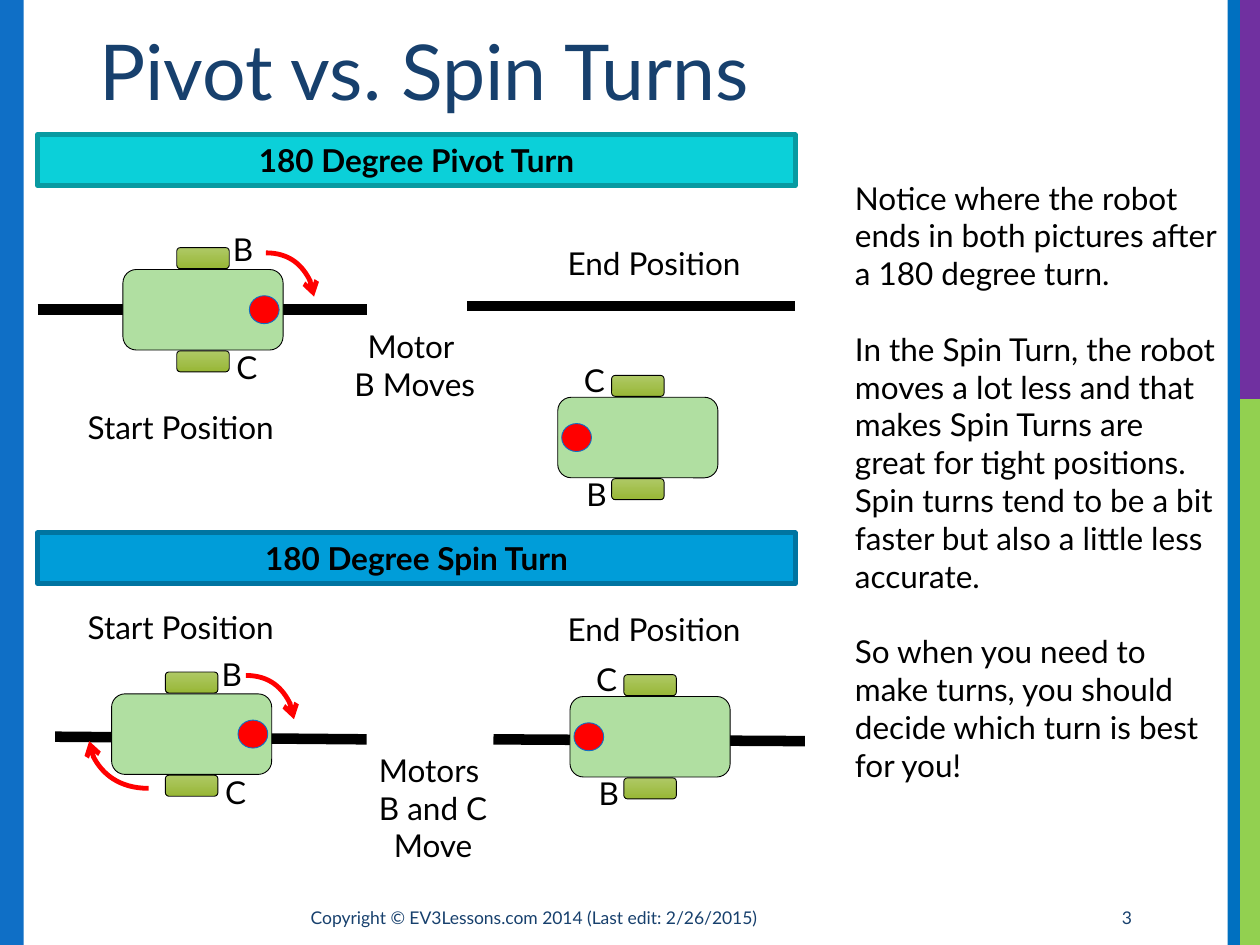
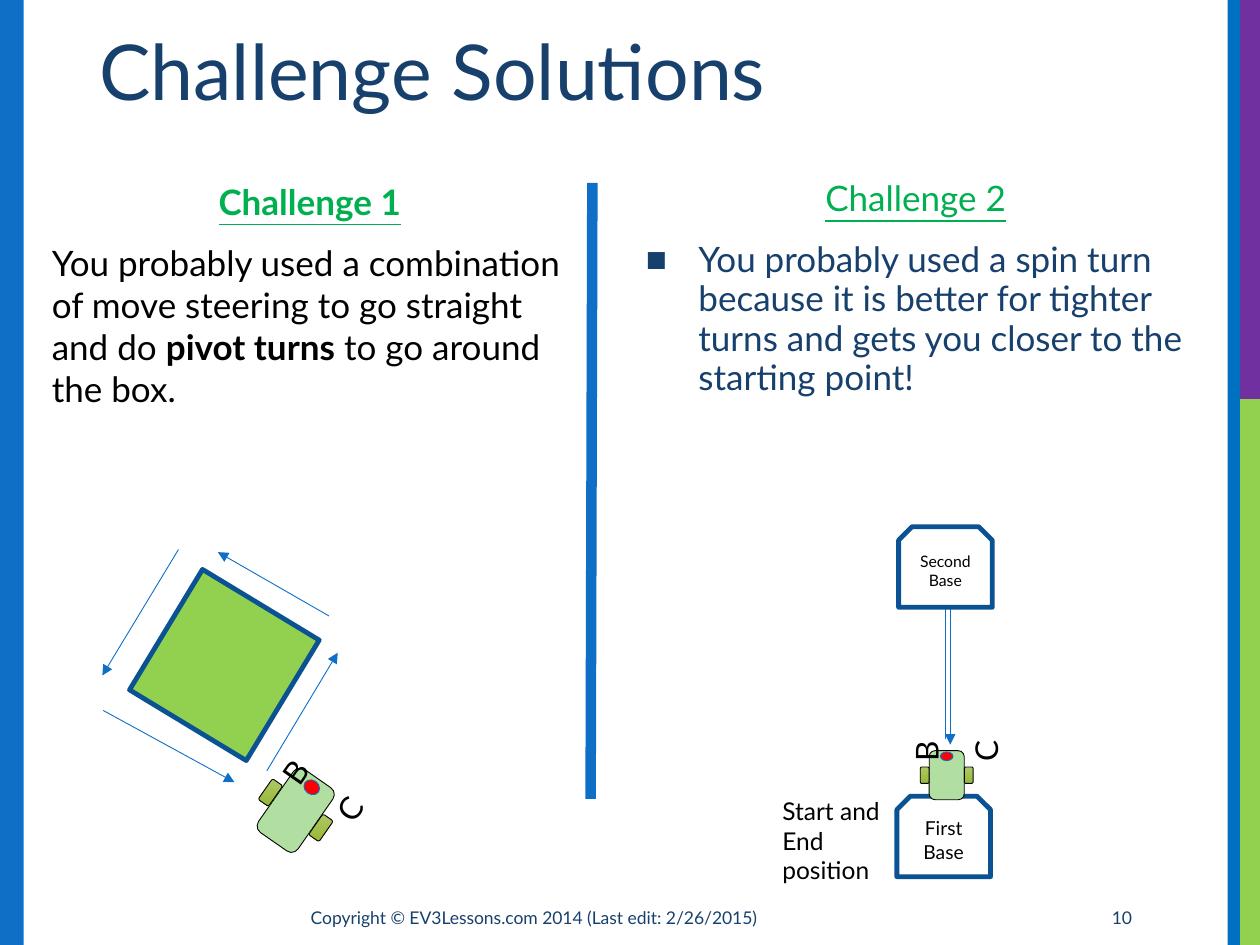
"""Build two slides on robot pivot and spin turns."""
from math import cos, radians, sin

from lxml import etree
from pptx import Presentation
from pptx.dml.color import RGBColor
from pptx.enum import shapes, text
from pptx.oxml import ns
from pptx.util import Pt

FONT, NAVY, BLUE, BLACK, RED = "Lato", "17406D", "0F6FC6", "000000", "FF0000"
GREEN, LIME, EDGE = "00B050", "92D050", "0B5292"
BANDS = [
    ((0, 0, 13.5, 540), BLUE),
    ((708.5, 228, 11.5, 312), LIME),
    ((705.5, 0, 14.5, 228), "7030A0"),
    ((701.5, 0, 7, 540), "0070C0"),
]
FOOTER = "Copyright © EV3Lessons.com 2014 (Last edit: 2/26/2015)"

HEADINGS = [
    ("180 Degree Pivot Turn", 77, "0BD0D9", "089AA1"),
    ("180 Degree Spin Turn", 304.5, "009DD9", "0074A1"),
]
NOTES = [
    "Notice where the robot ends in both pictures after a 180 degree turn.",
    "In the Spin Turn, the robot moves a lot less and that makes Spin Turns are great for "
    "tight positions. Spin turns tend to be a bit faster but also a little less accurate.",
    "So when you need to make turns, you should decide which turn is best for you!",
]
TRACKS = [
    ((282, 422.5), (460, 423.5)),
    ((31.5, 421), (209.5, 422.5)),
    ((21.5, 177), (209.5, 177)),
    ((267, 175), (454.5, 175)),
]
CAPTIONS = [
    (["Start Position"], (36, 229.5, 134.5, 29)),
    (["End Position"], (306.5, 136, 134.5, 29)),
    (["Start Position"], (36, 344, 134.5, 29)),
    (["End Position"], (306.5, 345, 134.5, 29)),
    (["Motor ", "B Moves"], (184.5, 183.5, 105, 51)),
    (["Motors ", "B and C Move"], (195, 425.5, 105, 73)),
]
TURN_ROBOTS = [((116, 177), 90), ((364.5, 250), 270), ((109.5, 419.5), 90), ((371.5, 421), 270)]
LETTER_OFFSETS = {90: ((10, -49), (12, 18.5)), 270: ((-36.5, 18), (-38, -47.5))}
MOTIONS = [
    ((152, 144.5), (179.5, 169.5)),
    ((140.5, 386), (168, 411)),
    ((85, 450.5), (51, 423.5)),
]

BIG = dict(body=(46, 91.5), wheel=(12, 30), track=29.5, sensor=(16, 17), ahead=35, letter=(37, 23))
MEDIUM = dict(body=(27.5, 44), wheel=(7.2, 14.4), track=17.6, sensor=(9.4, 8), ahead=16,
              letter=(18, 13.5))
SMALL = dict(body=(20, 28), wheel=(5, 9.4), track=12.6, sensor=(7.2, 5), ahead=10.8,
             letter=(11.5, 10))

BOX_PATH = [
    ((102, 314), (58.5, 386)),
    ((188, 352), (124.5, 315.5)),
    ((152.5, 440.5), (193, 373)),
    ((59, 406), (134, 447)),
]
BASE_PATH = [((540, 422.5), (540, 339)), ((543, 347), (543, 425.5))]
BASES = [("First Base", (512.5, 455), 11), ("Second Base", (513.5, 301), 9)]


def rgb(code):
    return RGBColor.from_string(code)


def write(sp, paras, size=18, color=BLACK, align="LEFT", anchor="TOP", bold=False,
          underline=False, before=0, after=0, spacing=None, grow=False):
    """Fill a shape with paragraphs, each a string or a list of (text, format) runs."""
    tf = sp.text_frame
    tf.word_wrap = True
    tf.auto_size = text.MSO_AUTO_SIZE.SHAPE_TO_FIT_TEXT if grow else text.MSO_AUTO_SIZE.NONE
    tf.vertical_anchor = getattr(text.MSO_ANCHOR, anchor)
    for i, runs in enumerate(paras):
        p = tf.add_paragraph() if i else tf.paragraphs[0]
        p.alignment = getattr(text.PP_ALIGN, align)
        p.space_before, p.space_after = Pt(before if i else 0), Pt(after)
        if spacing:
            p.line_spacing = spacing
        for words, own in [(runs, {})] if isinstance(runs, str) else runs:
            r = p.add_run()
            r.text = words
            r.font.name, r.font.size = FONT, Pt(size)
            r.font.bold = own.get("bold", bold)
            r.font.underline = own.get("underline", underline)
            r.font.color.rgb = rgb(own.get("color", color))
    return tf


def add_text(s, box, paras, rotation=0, **fmt):
    sp = s.shapes.add_textbox(*map(Pt, box))
    sp.rotation = rotation
    return write(sp, paras, **fmt)


def add_box(s, kind, box, fill, line=None, width=0.5, rotation=0):
    """Add a preset shape; a pair of fills makes a vertical gradient."""
    sp = s.shapes.add_shape(getattr(shapes.MSO_SHAPE, kind), *map(Pt, box))
    sp.shadow.inherit = False
    sp.rotation = rotation
    if isinstance(fill, str):
        sp.fill.solid()
        sp.fill.fore_color.rgb = rgb(fill)
    else:
        sp.fill.gradient()
        sp.fill.gradient_angle = 270
        for stop, code in zip(sp.fill.gradient_stops, fill):
            stop.color.rgb = rgb(code)
        sp._element.spPr.find(ns.qn("a:gradFill")).set("rotWithShape", "0")
    if line:
        sp.line.color.rgb, sp.line.width = rgb(line), Pt(width)
    else:
        sp.line.fill.background()
    return sp


def add_line(s, ends, color, width, head=None, curved=False):
    (x1, y1), (x2, y2) = ends
    kind = shapes.MSO_CONNECTOR.CURVE if curved else shapes.MSO_CONNECTOR.STRAIGHT
    cxn = s.shapes.add_connector(kind, Pt(x1), Pt(y1), Pt(x2), Pt(y2))
    cxn.line.color.rgb, cxn.line.width = rgb(color), Pt(width)
    spPr = cxn._element.spPr
    if curved:
        spPr.find(ns.qn("a:prstGeom")).set("prst", "curvedConnector2")
    if head:
        etree.SubElement(spPr.find(ns.qn("a:ln")), ns.qn("a:tailEnd"), type=head)
    etree.SubElement(spPr, ns.qn("a:effectLst"))


def add_robot(s, model, center, heading, letters, tilt=0):
    """Draw a robot facing heading (degrees clockwise from up) with its motor letters."""
    a = radians(heading)

    def part(kind, size, side, ahead, fill, line):
        x = center[0] + side * cos(a) + ahead * sin(a)
        y = center[1] + side * sin(a) - ahead * cos(a)
        w, h = size
        add_box(s, kind, (x - w / 2, y - h / 2, w, h), fill, line, rotation=heading)

    part("ROUNDED_RECTANGLE", model["body"], 0, 0, "B0DFA1", BLACK)
    for side in (1, -1):
        part("ROUNDED_RECTANGLE", model["wheel"], side * model["track"], 0,
             ("AFC966", "98B736"), BLACK)
    part("OVAL", model["sensor"], 0, model["ahead"], RED, BLUE)
    for letter, (dx, dy) in zip("BC", letters):
        add_text(s, (center[0] + dx, center[1] + dy, *model["letter"]), [letter],
                 rotation=tilt, grow=True)


def new_slide(prs, title, number):
    """Start a slide with the shared bands, title and footer."""
    s = prs.slides.add_slide(prs.slide_layouts[5])
    for box, fill in BANDS:
        add_box(s, "RECTANGLE", box, fill)
    sp = s.shapes.title
    sp.left, sp.top, sp.width, sp.height = map(Pt, (49.5, 16.5, 652, 78))
    write(sp, [title], size=44, color=NAVY, spacing=0.89)
    add_text(s, (170.5, 508.5, 371, 31.5), [FOOTER], size=10, color=NAVY, anchor="MIDDLE")
    add_text(s, (559.5, 508.5, 94.5, 31.5), [number], size=10, color=NAVY, anchor="MIDDLE",
             align="RIGHT")
    return s


def turns_slide(prs):
    s = new_slide(prs, "Pivot vs. Spin Turns", "3")
    for ends in TRACKS:
        add_line(s, ends, BLACK, 6)
    for heading, top, fill, line in HEADINGS:
        sp = add_box(s, "RECTANGLE", (21.5, top, 433, 29), fill, line, 2.75)
        write(sp, [heading], bold=True, align="CENTER", grow=True)
    add_text(s, (481.5, 98.5, 221, 356.5), NOTES, before=21.6, grow=True)
    for paras, box in CAPTIONS:
        add_text(s, box, paras, align="CENTER", grow=True)
    for center, heading in TURN_ROBOTS:
        add_robot(s, BIG, center, heading, LETTER_OFFSETS[heading])
    for ends in MOTIONS:
        add_line(s, ends, RED, 2.75, head="arrow", curved=True)


def solutions_slide(prs):
    s = new_slide(prs, "Challenge Solutions", "10")
    heading = dict(color=GREEN, underline=True)
    add_text(s, (22.5, 99.5, 309, 344), [
        [("Challenge 1", dict(heading, bold=True))],
        [("You probably used a combination of move steering to go straight and do ", {}),
         ("pivot turns", {"bold": True}), (" to go around the box.", {})],
    ], size=20, before=4.8, after=6).paragraphs[0].alignment = text.PP_ALIGN.CENTER
    tf = add_text(s, (362, 99.5, 322.5, 344), [
        [("Challenge 2", heading)],
        "You probably used a spin turn because it is better for tighter turns and gets you "
        "closer to the starting point!",
    ], size=20, color=NAVY, before=10, after=2, spacing=0.94)
    tf.paragraphs[0].alignment = text.PP_ALIGN.CENTER
    pPr = tf.paragraphs[1]._p.get_or_add_pPr()
    pPr.set("marL", str(Pt(30)))
    pPr.set("indent", str(-Pt(30)))
    etree.SubElement(pPr, ns.qn("a:buFont"), typeface="Arial")
    etree.SubElement(pPr, ns.qn("a:buChar"), char="■")
    add_line(s, ((337.5, 456.5), (338.5, 104.5)), BLUE, 6)

    add_box(s, "RECTANGLE", (88, 341, 80.5, 78), LIME, EDGE, 2.75, rotation=301.2)
    add_robot(s, MEDIUM, (169, 463), 34.9, ((-18, -29.5), (13, -8.5)), tilt=304.9)
    for ends in BOX_PATH + BASE_PATH:
        add_line(s, ends, BLUE, 0.5, head="triangle")
    add_text(s, (440, 451.5, 75, 58.5), ["Start and End position"], size=14, grow=True)
    for name, corner, size in BASES:
        sp = add_box(s, "SNIP_2_SAME_RECTANGLE", (*corner, 53.5, 46), "FFFFFF", EDGE, 2.75)
        write(sp, [name], size=size, align="CENTER", anchor="MIDDLE")
    add_robot(s, SMALL, (541, 443), 0, ((-27, -14.5), (7, -14)), tilt=270)


def main():
    prs = Presentation()
    prs.slide_width, prs.slide_height = Pt(720), Pt(540)
    turns_slide(prs)
    solutions_slide(prs)
    prs.save("out.pptx")


if __name__ == "__main__":
    main()
